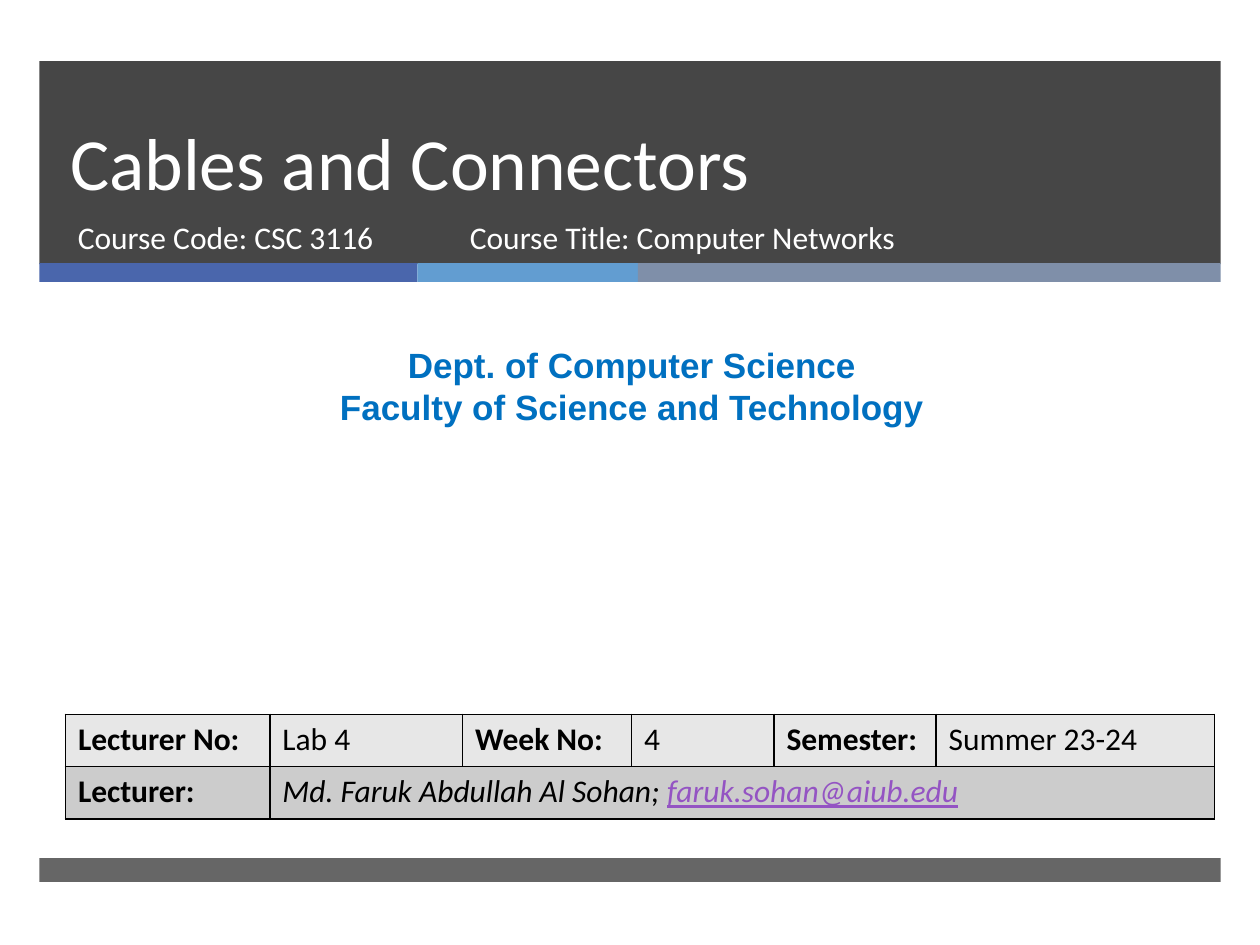
from lxml import etree
from pptx import Presentation
from pptx.dml.color import RGBColor
from pptx.enum.shapes import MSO_SHAPE
from pptx.enum.text import MSO_ANCHOR, PP_ALIGN
from pptx.oxml.ns import qn
from pptx.util import Pt

RECTANGLE = MSO_SHAPE.RECTANGLE
TOP, BOTTOM = MSO_ANCHOR.TOP, MSO_ANCHOR.BOTTOM
LEFT, CENTER = PP_ALIGN.LEFT, PP_ALIGN.CENTER

COLORS = {
    "dark": "262626",
    "blue": "4A66AC",
    "sky": "629DD1",
    "slate": "7F8FA9",
    "white": "FFFFFF",
    "black": "000000",
    "department": "0070C0",
    "email": "9454C3",
    "row_light": "E7E7E7",
    "row_dark": "CCCCCC",
}

BAND_LEFT, BAND_WIDTH = 22.5, 675
STRIPES = [("blue", 216), ("sky", 126), ("slate", 333)]
COLUMN_WIDTHS = [116.8, 110.2, 96.5, 81.4, 92.7, 159]
ROW_HEIGHT = 29.9
SESSION = ["Lecturer No:", "Lab 4", "Week No:", "4", "Semester:", "Summer 23-24"]


def rgb(name):
    return RGBColor.from_string(COLORS[name])


def style_font(font, size, color, name="Calibri", bold=False):
    font.size = Pt(size)
    font.name = name
    font.bold = bold
    font.color.rgb = rgb(color)


def add_band(slide, left, top, width, height, color, opacity=100):
    """Add a borderless rectangle; opacity is a percentage."""
    shape = slide.shapes.add_shape(RECTANGLE, Pt(left), Pt(top), Pt(width), Pt(height))
    shape.shadow.inherit = False
    shape.line.fill.background()
    shape.fill.solid()
    shape.fill.fore_color.rgb = rgb(color)
    if opacity < 100:
        srgb = shape._element.spPr.find(qn("a:solidFill")).find(qn("a:srgbClr"))
        etree.SubElement(srgb, qn("a:alpha"), val=str(opacity * 1000))


def add_text(slide, left, top, width, height, lines, size, color="white",
             name="Calibri", bold=False, align=LEFT, anchor=TOP, spacing=None):
    box = slide.shapes.add_textbox(Pt(left), Pt(top), Pt(width), Pt(height))
    frame = box.text_frame
    frame.word_wrap = True
    frame.vertical_anchor = anchor
    frame.text = "\n".join(lines)
    for paragraph in frame.paragraphs:
        paragraph.alignment = align
        if spacing:
            paragraph.line_spacing = Pt(spacing)
        style_font(paragraph.font, size, color, name, bold)


def set_borders(cell):
    properties = cell._tc.get_or_add_tcPr()
    for index, side in enumerate(("a:lnL", "a:lnR", "a:lnT", "a:lnB")):
        line = etree.Element(qn(side), w=str(Pt(1)))
        fill = etree.SubElement(line, qn("a:solidFill"))
        etree.SubElement(fill, qn("a:srgbClr"), val=COLORS["black"])
        properties.insert(index, line)


def add_session_table(slide):
    table = slide.shapes.add_table(2, len(COLUMN_WIDTHS), Pt(37.4), Pt(408.2),
                                   Pt(sum(COLUMN_WIDTHS)), Pt(2 * ROW_HEIGHT)).table
    for column, width in zip(table.columns, COLUMN_WIDTHS):
        column.width = Pt(width)
    for row, color in zip(table.rows, ("row_light", "row_dark")):
        row.height = Pt(ROW_HEIGHT)
        for cell in row.cells:
            cell.fill.solid()
            cell.fill.fore_color.rgb = rgb(color)
            set_borders(cell)

    for column, text in enumerate(SESSION):
        fill_cell(table.cell(0, column), text, bold=column % 2 == 0)
    fill_cell(table.cell(1, 0), "Lecturer:", bold=True)

    lecturer = table.cell(1, 1)
    lecturer.merge(table.cell(1, len(COLUMN_WIDTHS) - 1))
    fill_cell(lecturer, "Md. Faruk Abdullah Al Sohan; ")
    paragraph = lecturer.text_frame.paragraphs[0]
    paragraph.font.italic = True
    email = paragraph.add_run()
    email.text = "faruk.sohan@aiub.edu"
    email.font.underline = True
    email.font.color.rgb = rgb("email")


def fill_cell(cell, text, bold=False):
    cell.text = text
    style_font(cell.text_frame.paragraphs[0].font, 18, "black", bold=bold)


def main():
    presentation = Presentation()
    presentation.slide_width, presentation.slide_height = Pt(720), Pt(540)
    slide = presentation.slides.add_slide(presentation.slide_layouts[6])

    add_band(slide, BAND_LEFT, 35, BAND_WIDTH, 116, "dark", opacity=85)
    left = BAND_LEFT
    for color, width in STRIPES:
        add_band(slide, left, 150.3, width, 10.8, color)
        left += width
    add_band(slide, BAND_LEFT, 490.3, BAND_WIDTH, 13.7, "dark", opacity=70)

    add_text(slide, 33, 35.3, 615, 85.7, ["Cables and Connectors"], 42,
             anchor=BOTTOM, spacing=46)
    add_text(slide, 37.4, 121, 219.6, 38, ["Course Code: CSC 3116"], 18)
    add_text(slide, 261.4, 121.2, 327.6, 38, ["Course Title: Computer Networks"], 18)
    add_text(slide, 5.8, 193, 710.6, 55.4,
             ["Dept. of Computer Science", "Faculty of Science and Technology"], 20,
             color="department", name="Arial", bold=True, align=CENTER)
    add_session_table(slide)

    presentation.save("out.pptx")


if __name__ == "__main__":
    main()
